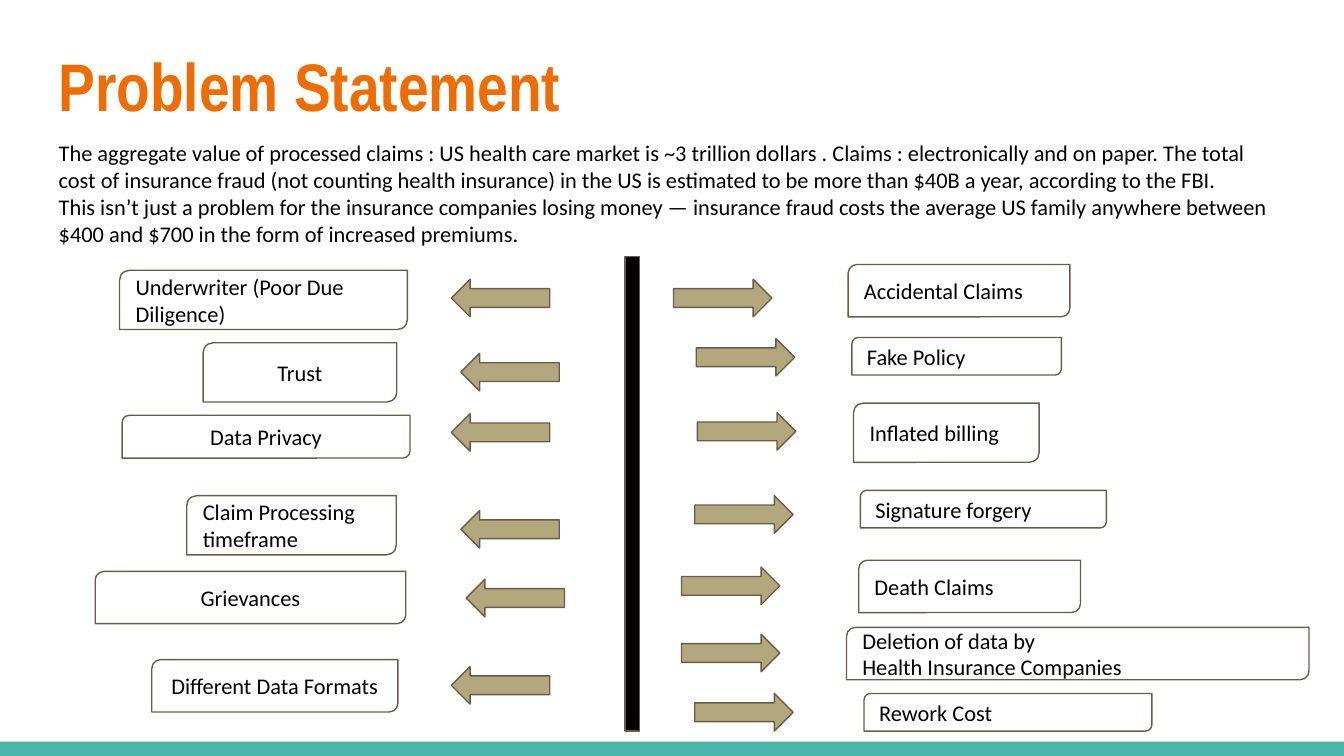
from dataclasses import dataclass

from pptx import Presentation
from pptx.dml.color import RGBColor
from pptx.enum.shapes import MSO_SHAPE as Shape
from pptx.enum.text import MSO_ANCHOR as Anchor, PP_ALIGN as Align
from pptx.util import Cm, Pt

COLORS = {
    "title": "EF6C00",
    "text": "000000",
    "divider": "000000",
    "footer": "4DB6AC",
    "arrow": "B3A77D",
    "line": "695D46",
}
ARROW_W, ARROW_H = 1.86, 0.71
CORNER = 0.167


@dataclass
class Issue:
    text: str
    left: float
    top: float
    width: float
    height: float
    arrow_left: float
    arrow_top: float
    align: Align = Align.LEFT


CAUSES = [
    Issue("Underwriter (Poor Due Diligence)", 2.26, 5.11, 5.44, 1.12, 8.53, 5.28),
    Issue("Trust", 3.84, 6.48, 3.66, 1.12, 8.71, 6.68, Align.CENTER),
    Issue("Data Privacy", 2.31, 7.85, 5.44, 0.81, 8.53, 7.82, Align.CENTER),
    Issue("Claim Processing timeframe", 3.53, 9.37, 3.96, 1.12, 8.71, 9.65),
    Issue("Grievances", 1.8, 10.8, 5.87, 0.99, 8.81, 10.95, Align.CENTER),
    Issue("Different Data Formats", 2.87, 12.47, 4.65, 0.99, 8.53, 12.6, Align.CENTER),
]
FRAUDS = [
    Issue("Accidental Claims", 16.03, 5, 4.19, 0.99, 12.73, 5.28),
    Issue("Fake Policy", 16.1, 6.38, 3.96, 0.71, 13.16, 6.4),
    Issue("Inflated billing", 16.13, 7.62, 3.51, 1.12, 13.18, 7.8),
    Issue("Signature forgery", 16.26, 9.27, 4.65, 0.71, 13.13, 9.37),
    Issue("Death Claims", 16.23, 10.59, 4.19, 0.99, 12.88, 10.72),
    Issue("Deletion of data by\nHealth Insurance Companies",
          16, 11.86, 8.74, 0.99, 12.88, 11.99),
    Issue("Rework Cost", 16.33, 13.11, 5.44, 0.71, 13.13, 13.11),
]
SUMMARY = (
    "The aggregate value of processed claims : US health care market is ~3 trillion "
    "dollars . Claims : electronically and on paper. The total cost of insurance fraud "
    "(not counting health insurance) in the US is estimated to be more than $40B a year, "
    "according to the FBI.\n"
    "This isn’t just a problem for the insurance companies losing money — insurance fraud "
    "costs the average US family anywhere between $400 and $700 in the form of increased "
    "premiums."
)


def rgb(name: str) -> RGBColor:
    return RGBColor.from_string(COLORS[name])


def write(sp, text: str, *, size: float = 12, font: str = "Calibri", color: str = "text",
          bold: bool = False, align: Align = Align.LEFT, anchor: Anchor = Anchor.TOP) -> None:
    tf = sp.text_frame
    tf.word_wrap = True
    tf.vertical_anchor = anchor
    tf.margin_left = tf.margin_right = tf.margin_top = tf.margin_bottom = Cm(0.25)
    for i, line in enumerate(text.split("\n")):
        p = tf.paragraphs[0] if i == 0 else tf.add_paragraph()
        p.alignment = align
        r = p.add_run()
        r.text = line
        r.font.size = Pt(size)
        r.font.name = font
        r.font.bold = bold
        r.font.color.rgb = rgb(color)


def add_box(s, kind: Shape, left: float, top: float, width: float, height: float,
            fill: str | None = None, line: str | None = "line"):
    sp = s.shapes.add_shape(kind, Cm(left), Cm(top), Cm(width), Cm(height))
    sp.shadow.inherit = False
    if fill:
        sp.fill.solid()
        sp.fill.fore_color.rgb = rgb(fill)
    else:
        sp.fill.background()
    if line:
        sp.line.color.rgb = rgb(line)
        sp.line.width = Pt(0.75)
    else:
        sp.line.fill.background()
    return sp


def add_issue(s, issue: Issue, arrow: Shape) -> None:
    sp = add_box(s, Shape.ROUND_2_DIAG_RECTANGLE,
                 issue.left, issue.top, issue.width, issue.height)
    sp.adjustments[0] = CORNER
    write(sp, issue.text, align=issue.align, anchor=Anchor.MIDDLE)
    add_box(s, arrow, issue.arrow_left, issue.arrow_top, ARROW_W, ARROW_H, "arrow")


def main() -> None:
    prs = Presentation()
    prs.slide_width, prs.slide_height = Cm(25.4), Cm(14.29)
    s = prs.slides.add_slide(prs.slide_layouts[6])

    add_box(s, Shape.RECTANGLE, 0, 14.02, 25.4, 0.27, "footer", None)
    body = s.shapes.add_textbox(Cm(0.86), Cm(2.39), Cm(23.67), Cm(9.17))
    write(body, SUMMARY)
    title = s.shapes.add_textbox(Cm(0.86), Cm(0.58), Cm(23.67), Cm(1.96))
    write(title, "Problem Statement", size=36, font="Arial Narrow", color="title", bold=True)

    add_box(s, Shape.RECTANGLE, 11.81, 4.85, 0.28, 8.97, "divider")
    for issues, arrow in ((CAUSES, Shape.LEFT_ARROW), (FRAUDS, Shape.RIGHT_ARROW)):
        for issue in issues:
            add_issue(s, issue, arrow)

    prs.save("out.pptx")


if __name__ == "__main__":
    main()
